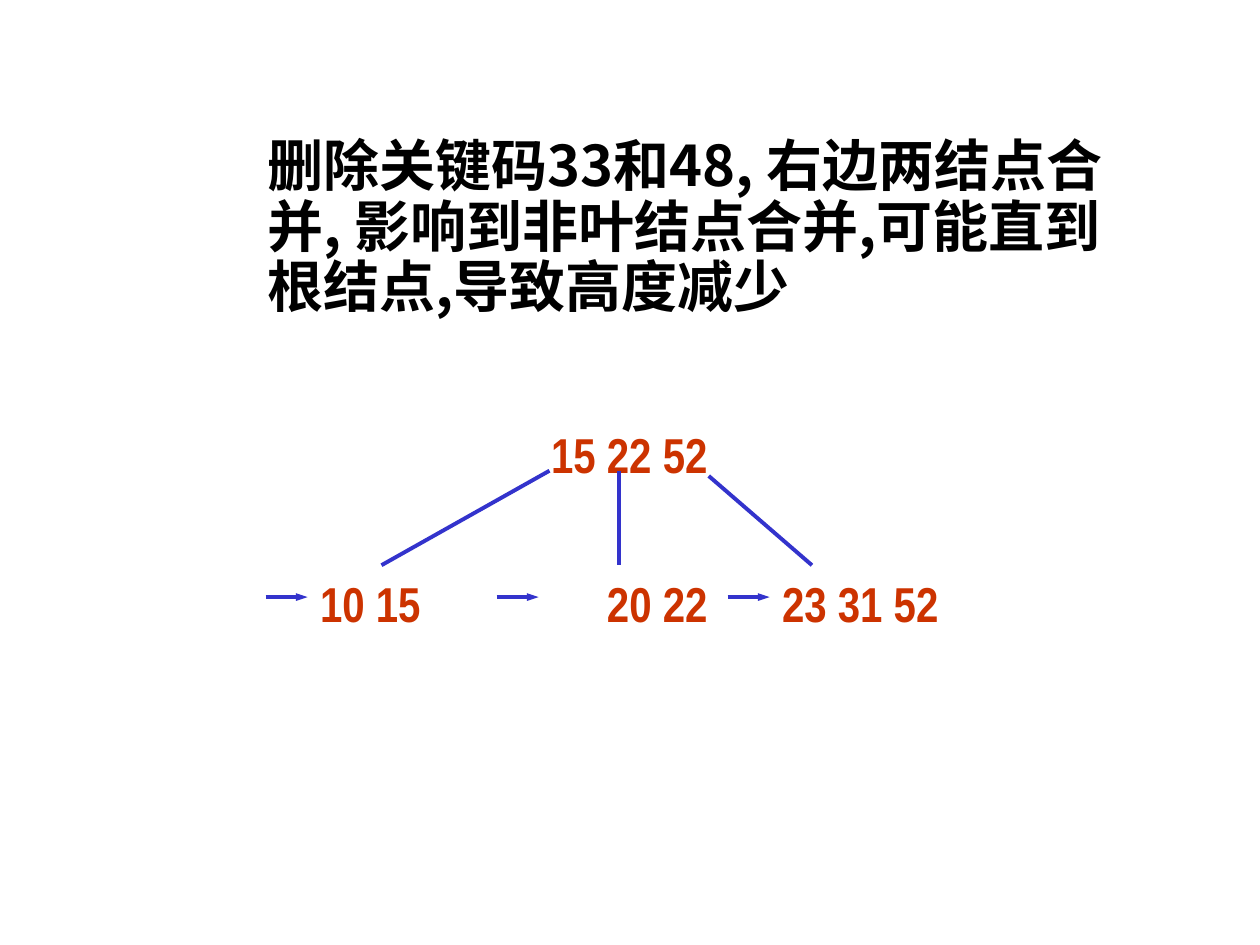
import pptx
import pptx.dml.color
import pptx.enum.shapes
import pptx.enum.text
import pptx.oxml.ns
import pptx.util
from lxml import etree

Pt = pptx.util.Pt
qn = pptx.oxml.ns.qn


class Theme:
    title_font, title_size, title_color = "Noto Sans CJK SC", 32, "000000"
    key_font, key_size, key_color = "Arial Narrow", 28, "CC3300"
    line_color, line_width = "3333CC", 2.25


def rgb(color):
    return pptx.dml.color.RGBColor.from_string(color)


class SlideBuilder:
    def __init__(self, s, theme):
        self.s, self.theme = s, theme

    def text(self, text, box, font, size, color, wrap=False, spacing=None):
        sp = self.s.shapes.add_textbox(*(Pt(v) for v in box))
        tf = sp.text_frame
        tf.word_wrap = wrap
        tf.auto_size = pptx.enum.text.MSO_AUTO_SIZE.SHAPE_TO_FIT_TEXT
        p = tf.paragraphs[0]
        if spacing:
            p.line_spacing = spacing
        r = p.add_run()
        r.text = text
        r.font.name, r.font.size, r.font.bold = font, Pt(size), True
        r.font.color.rgb = rgb(color)
        etree.SubElement(r.font._element, qn("a:ea"), typeface=font)

    def title(self, text, box):
        t = self.theme
        self.text(text, box, t.title_font, t.title_size, t.title_color, True, 0.9)

    def node(self, keys, left, top, width):
        t = self.theme
        self.text(keys, (left, top, width, 41), t.key_font, t.key_size, t.key_color)

    def line(self, start, end, arrow=False):
        sp = self.s.shapes.add_connector(
            pptx.enum.shapes.MSO_CONNECTOR.STRAIGHT,
            *(Pt(v) for v in (*start, *end)))
        sp.line.color.rgb = rgb(self.theme.line_color)
        sp.line.width = Pt(self.theme.line_width)
        if arrow:
            etree.SubElement(sp.line._get_or_add_ln(), qn("a:tailEnd"),
                             type="triangle", w="sm", len="med")
        etree.SubElement(sp._element.spPr, qn("a:effectLst"))


def main():
    prs = pptx.Presentation()
    prs.slide_width, prs.slide_height = Pt(720), Pt(540)
    s = prs.slides.add_slide(prs.slide_layouts[6])
    b = SlideBuilder(s, Theme())

    # Title
    b.title("删除关键码33和48, 右边两结点合并, 影响到非叶结点合并,可能直到根结点,导致高度减少",
            (145.5, 75.5, 511, 111))

    # Leaves, each with the link arrow that leads to its slot
    first, pitch, arrow_y = 175.8, 132, 341.2
    leaves = [("10 15", 0, 72), ("20 22", 32, 72), ("23 31 52", 0, 104)]
    for i, (keys, indent, width) in enumerate(leaves):
        slot = first + i * pitch
        b.node(keys, slot + indent, 324, width)
        b.line((slot - 24, arrow_y), (slot, arrow_y), arrow=True)

    # Root and its branches
    b.node("15 22 52", first + pitch, 239, 110)
    branch_end = 323
    for x1, y1, x2 in [(314, 269, 218), (353.7, 269, 353.7), (405, 272, 464)]:
        b.line((x1, y1), (x2, branch_end))

    prs.save("out.pptx")


if __name__ == "__main__":
    main()
